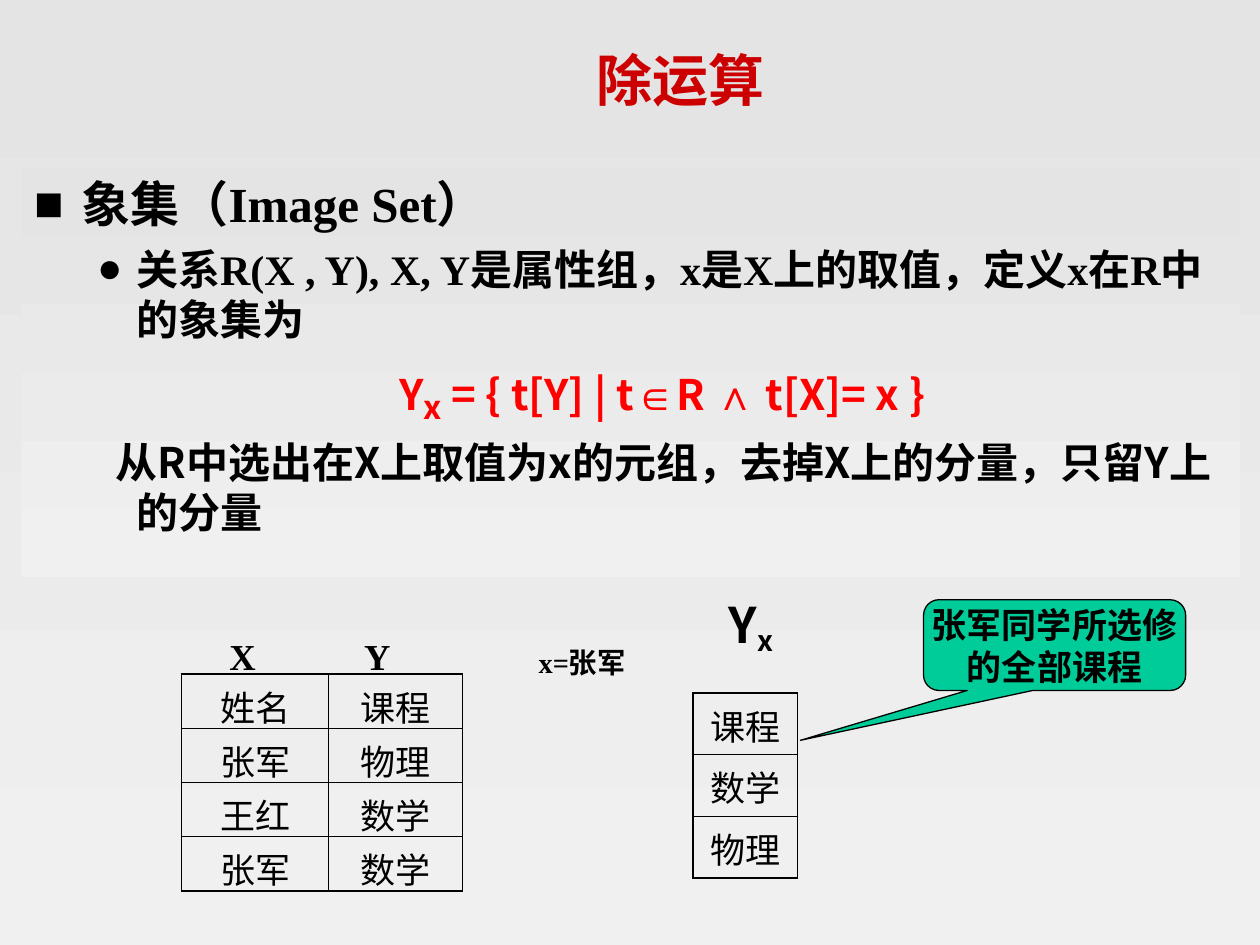
from lxml import etree
from pptx import Presentation
from pptx.dml.color import RGBColor
from pptx.enum.shapes import MSO_SHAPE as Shape
from pptx.enum.text import MSO_ANCHOR as Anchor, MSO_AUTO_SIZE as Auto, PP_ALIGN as Align
from pptx.oxml.ns import qn
from pptx.util import Inches, Pt

SERIF, SANS = "Times New Roman", "Noto Sans CJK SC"
rgb = RGBColor.from_string


def style(par, size, name=SERIF, color="000000", bold=True, align=Align.CENTER):
    par.alignment = align
    font = par.font
    font.size, font.name, font.bold = Pt(size), name, bold
    font.color.rgb = rgb(color)


def add_run(par, text, base=0, size=None, name=None):
    run = par.add_run()
    run.text = text
    if size:
        run.font.size = Pt(size)
    if name:
        run.font.name = name
    if base:
        run.font._element.set("baseline", str(base * 1000))


prs = Presentation()
prs.slide_width, prs.slide_height = Inches(10), Inches(7.5)
slide = prs.slides.add_slide(prs.slide_layouts[1])
shapes = slide.shapes
title, body = slide.placeholders

# Title
title.left, title.top = Inches(1.14), Inches(0.17)
title.width, title.height = Inches(8.52), Inches(0.92)
title.text_frame.vertical_anchor = Anchor.MIDDLE
par = title.text_frame.paragraphs[0]
add_run(par, "除运算")
style(par, 32, color="CC0000")

# Body
body.left, body.top = Inches(0.17), Inches(1.33)
body.width, body.height = Inches(9.67), Inches(3.25)
frame = body.text_frame
frame.auto_size = Auto.NONE

# Gradients of the slide and the body
for fill in (slide.background.fill, body.fill):
    fill.gradient()
    fill.gradient_angle = 270
    for stop, color in zip(fill.gradient_stops, ("E4E4E4", "F0F0F0")):
        stop.color.rgb = rgb(color)

# Definition: level, margin, indent, bullet, size, font, colour, alignment, runs
items = [
    (0, 0.38, -0.38, "■", 28, SERIF, "000000", Align.LEFT, [("象集（Image Set）",)]),
    (1, 0.81, -0.31, "●", 24, SERIF, "000000", Align.LEFT,
     [("关系R(X , Y), X, Y是属性组，x是X上的取值，定义x在R中的象集为",)]),
    (1, 0.81, -0.31, None, 24, SANS, "FF0000", Align.CENTER,
     [("Y",), ("x", -16, 32), (" = { t[Y] | t",), ("∈", 0, None, "Arial"),
      ("R ",), ("∧", 0, None, "Arial"), (" t[X]= x }",)]),
    (1, 0.81, -0.16, None, 24, SANS, "000000", Align.LEFT,
     [("从R中选出在X上取值为x的元组，去掉X上的分量，只留Y上的分量",)]),
]
for i, (level, margin, indent, mark, size, name, color, align, runs) in enumerate(items):
    par = frame.paragraphs[0] if i == 0 else frame.add_paragraph()
    par.level = level
    props = par._p.get_or_add_pPr()
    props.set("marL", str(Inches(margin)))
    props.set("indent", str(Inches(indent)))
    if mark:
        tint = etree.SubElement(props, qn("a:buClr"))
        etree.SubElement(tint, qn("a:srgbClr"), val="000000")
        etree.SubElement(props, qn("a:buChar"), char=mark)
    else:
        etree.SubElement(props, qn("a:buNone"))
    par.space_before = Pt(6 if i else 0)
    style(par, size, name, color, align=align)
    for run in runs:
        add_run(par, *run)

# Labels above the tables: place, left inset, size, font, alignment, runs
labels = [
    (1.5, 4.67, 1.92, 0.76, 0.32, 36, SERIF, Align.LEFT, [("X\tY", -20)]),
    (4.08, 4.83, 1.08, 0.61, 0.1, 28, SERIF, Align.CENTER, [("x=张军", -20)]),
    (5.42, 4.67, 1.08, 0.6, 0.1, 28, SANS, Align.CENTER, [("Y",), ("x", -16)]),
]
for x, y, w, h, inset, size, name, align, runs in labels:
    frame = shapes.add_textbox(Inches(x), Inches(y), Inches(w), Inches(h)).text_frame
    frame.word_wrap = True
    frame.margin_left = Inches(inset)
    par = frame.paragraphs[0]
    if "\t" in runs[0][0]:
        tabs = etree.SubElement(par._p.get_or_add_pPr(), qn("a:tabLst"))
        etree.SubElement(tabs, qn("a:tab"), pos=str(Inches(1.07)), algn="l")
    style(par, size, name, align=align)
    for run in runs:
        add_run(par, *run)

# Callout
note = shapes.add_shape(Shape.ROUNDED_RECTANGULAR_CALLOUT,
                        Inches(7.33), Inches(4.76), Inches(2.08), Inches(0.72))
note.shadow.inherit = False
for i, value in enumerate((-0.97, 1.05, 0.17)):
    note.adjustments[i] = value
note.fill.solid()
note.fill.fore_color.rgb = rgb("00CC99")
note.line.color.rgb = rgb("000000")
note.line.width = Pt(0.75)
frame = note.text_frame
frame.word_wrap = True
frame.vertical_anchor = Anchor.MIDDLE
frame.margin_left = frame.margin_right = frame.margin_top = frame.margin_bottom = 0
add_run(frame.paragraphs[0], "张军同学所选修的全部课程")
style(frame.paragraphs[0], 20)

# Tables: left, top, column widths, row height, cells
tables = [
    (1.44, 5.35, [1.17, 1.06], 0.43,
     [["姓名", "课程"], ["张军", "物理"], ["王红", "数学"], ["张军", "数学"]]),
    (5.5, 5.5, [0.83], 0.49, [["课程"], ["数学"], ["物理"]]),
]
for x, y, widths, height, rows in tables:
    down, across = len(rows), len(widths)
    table = shapes.add_table(down, across, Inches(x), Inches(y),
                             Inches(sum(widths)), Inches(height * down)).table
    table.first_row = table.horz_banding = False
    for col, width in zip(table.columns, widths):
        col.width = Inches(width)
    for r, row in enumerate(rows):
        table.rows[r].height = Inches(height)
        for c, text in enumerate(row):
            cell = table.cell(r, c)
            cell.margin_top, cell.margin_bottom = Inches(0.05), 0
            cell.fill.background()
            par = cell.text_frame.paragraphs[0]
            add_run(par, text)
            style(par, 20, "Roboto", bold=False)
            # Thick outer edges, thin inner ones
            edges = {"L": c == 0, "R": c == across - 1, "T": r == 0, "B": r == down - 1}
            props = cell._tc.get_or_add_tcPr()
            for i, (side, outer) in enumerate(edges.items()):
                line = etree.Element(qn("a:ln" + side), w=str(Pt(1.08 if outer else 0.45)))
                paint = etree.SubElement(line, qn("a:solidFill"))
                etree.SubElement(paint, qn("a:srgbClr"), val="000000")
                props.insert(i, line)

prs.save("out.pptx")
